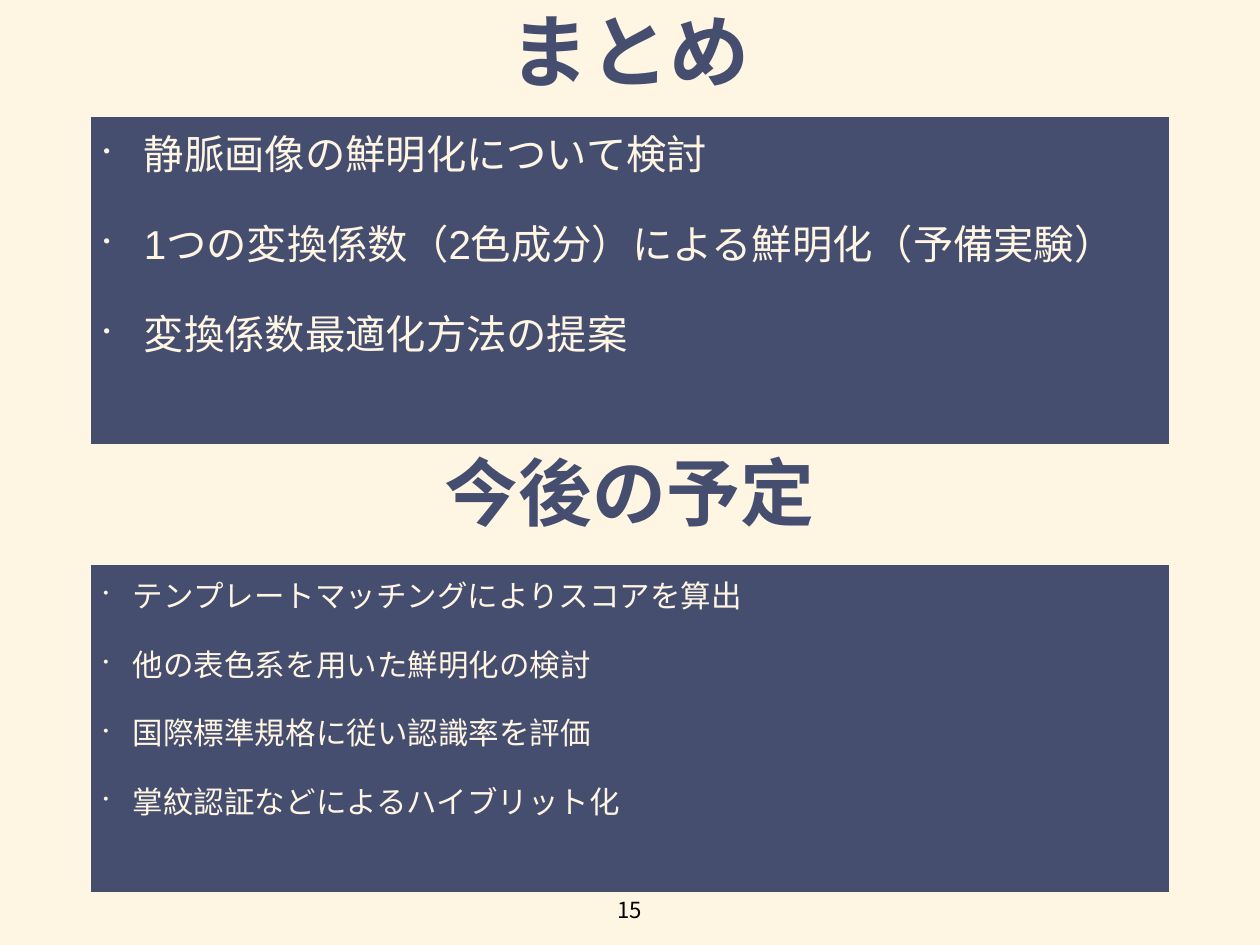
import pptx
import pptx.util
import pptx.dml.color
import pptx.enum.shapes
import pptx.enum.text
import pptx.oxml.ns
import lxml.etree

COLORS = {"cream": "FFF5E3", "navy": "464E70", "black": "000000"}
WIDTH, HEIGHT = 1024, 768
PANEL_LEFT, PANEL_WIDTH, PANEL_HEIGHT = 84, 856, 246


class SlideBuilder:
    font = "Arial"
    number_font = "Noto Sans CJK JP"

    def __init__(self, deck):
        self.page = deck.slides.add_slide(deck.slide_layouts[5])
        self.paint(self.page.background.fill, "cream")

    def paint(self, fill, color):
        fill.solid()
        fill.fore_color.rgb = pptx.dml.color.RGBColor.from_string(COLORS[color])

    def place(self, box, *bounds):
        box.left, box.top, box.width, box.height = map(pptx.util.Pt, bounds)

    def frame(self, box, wrap, anchor):
        frame = box.text_frame
        frame.word_wrap = wrap
        frame.auto_size = pptx.enum.text.MSO_AUTO_SIZE.NONE
        frame.vertical_anchor = anchor
        frame.margin_left = frame.margin_right = 0
        frame.margin_top = frame.margin_bottom = 0
        return frame

    def style(self, para, size, color, name, bold=False):
        para.font.size = pptx.util.Pt(size)
        para.font.name = name
        para.font.bold = bold
        self.paint(para.font.fill, color)

    def label(self, box, text, bounds, size, color, name, bold=False):
        self.place(box, *bounds)
        frame = self.frame(box, False, pptx.enum.text.MSO_ANCHOR.MIDDLE)
        frame.text = text
        para = frame.paragraphs[0]
        para.alignment = pptx.enum.text.PP_ALIGN.CENTER
        self.style(para, size, color, name, bold)
        return para

    def heading(self, box, text, bounds, size):
        para = self.label(box, text, bounds, size, "navy", self.font, True)
        para.line_spacing = 0.8

    def title(self, text, bounds, size):
        self.heading(self.page.shapes.title, text, bounds, size)

    def subheading(self, text, bounds, size):
        self.heading(self.page.shapes.add_textbox(0, 0, 0, 0), text, bounds, size)

    def number(self, text, bounds):
        box = self.page.shapes.add_textbox(0, 0, 0, 0)
        self.label(box, text, bounds, 18, "black", self.number_font)

    def bullet(self, para, indent):
        properties = para._p.get_or_add_pPr()
        properties.set("marL", str(pptx.util.Pt(indent)))
        properties.set("indent", str(pptx.util.Pt(-indent)))
        for tag, key, value in (("a:buSzPct", "val", "50000"), ("a:buChar", "char", "•")):
            lxml.etree.SubElement(properties, pptx.oxml.ns.qn(tag)).set(key, value)

    def panel(self, top, items, size, gap, indent):
        box = self.page.shapes.add_shape(pptx.enum.shapes.MSO_SHAPE.RECTANGLE, 0, 0, 0, 0)
        self.place(box, PANEL_LEFT, top, PANEL_WIDTH, PANEL_HEIGHT)
        box.shadow.inherit = False
        self.paint(box.fill, "navy")
        self.paint(box.line.fill, "navy")
        box.line.width = pptx.util.Pt(20)
        outline = box.line._get_or_add_ln()
        lxml.etree.SubElement(outline, pptx.oxml.ns.qn("a:miter")).set("lim", "800000")
        frame = self.frame(box, True, pptx.enum.text.MSO_ANCHOR.TOP)
        frame.text = "\n".join(items)
        for index, para in enumerate(frame.paragraphs):
            para.alignment = pptx.enum.text.PP_ALIGN.LEFT
            para.space_before = pptx.util.Pt(gap if index else 0)
            self.bullet(para, indent)
            self.style(para, size, "cream", self.font)


def main():
    deck = pptx.Presentation()
    deck.slide_width = pptx.util.Pt(WIDTH)
    deck.slide_height = pptx.util.Pt(HEIGHT)
    builder = SlideBuilder(deck)
    builder.title("まとめ", (407, 11, 210, 73), 65)
    builder.panel(105, [
        "静脈画像の鮮明化について検討",
        "1つの変換係数（2色成分）による鮮明化（予備実験）",
        "変換係数最適化方法の提案",
    ], 32.8, 34, 33)
    builder.subheading("今後の予定", (357, 371.5, 309, 68), 60)
    builder.panel(469, [
        "テンプレートマッチングによりスコアを算出",
        "他の表色系を用いた鮮明化の検討",
        "国際標準規格に従い認識率を評価",
        "掌紋認証などによるハイブリット化",
    ], 24.8, 26, 24)
    builder.number("15", (495, 726, 33, 26))
    deck.save("out.pptx")


if __name__ == "__main__":
    main()
